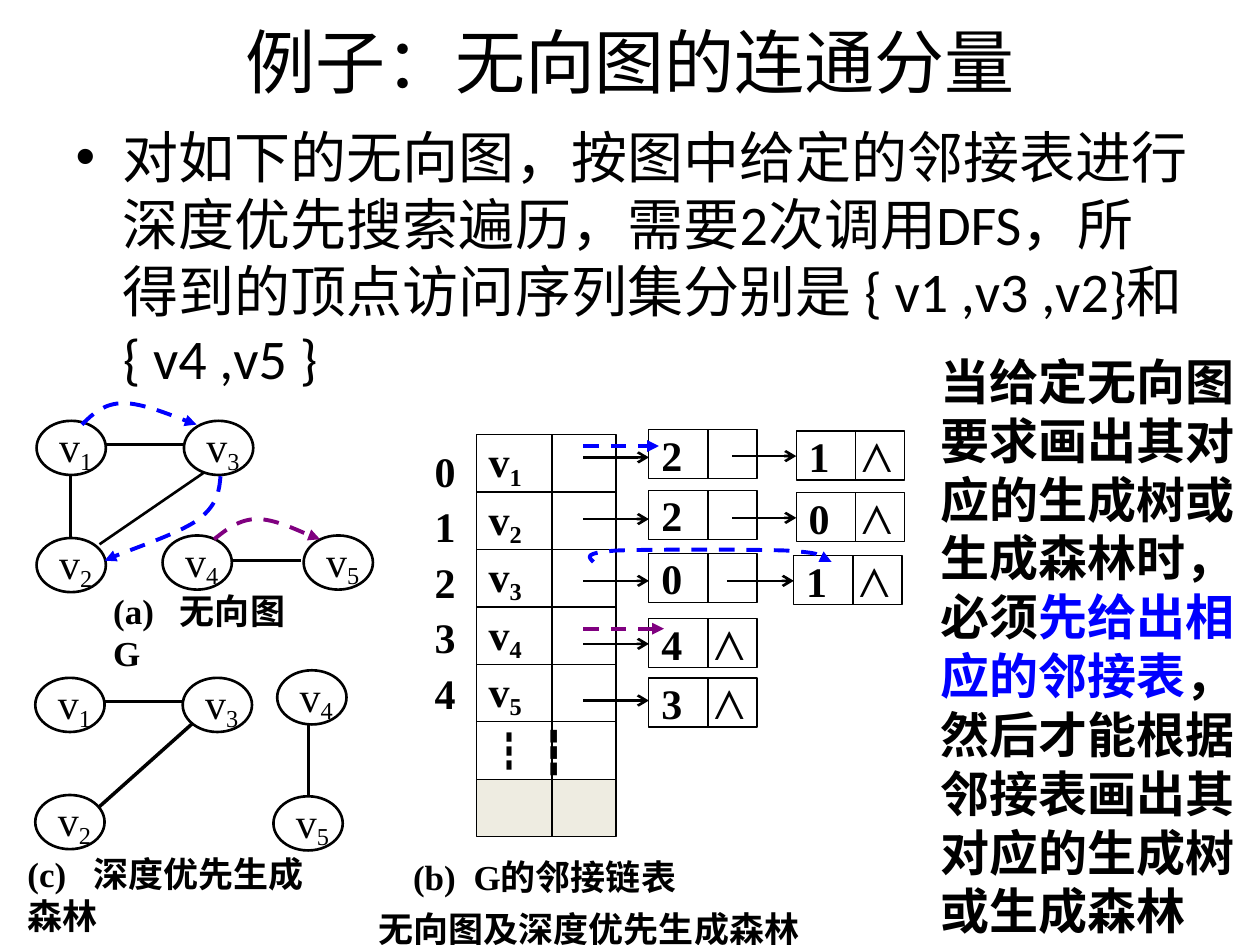
"""Build a slide on the connected components of an undirected graph."""
from lxml import etree
from pptx import Presentation
from pptx.dml.color import RGBColor
from pptx.enum.dml import MSO_LINE
from pptx.enum.shapes import MSO_CONNECTOR, MSO_SHAPE
from pptx.enum.text import MSO_ANCHOR, PP_ALIGN
from pptx.oxml.ns import qn
from pptx.util import Inches, Pt

OVAL, RECT = MSO_SHAPE.OVAL, MSO_SHAPE.RECTANGLE
STRAIGHT, DASH = MSO_CONNECTOR.STRAIGHT, MSO_LINE.DASH
MIDDLE, CENTER = MSO_ANCHOR.MIDDLE, PP_ALIGN.CENTER
COLORS = {"black": "000000", "blue": "0000FF", "purple": "800080", "beige": "EEECE1"}
RGB = {name: RGBColor.from_string(code) for name, code in COLORS.items()}
SERIF, SANS, CJK = "Times New Roman", "Calibri", "Noto Sans CJK SC"

deck = Presentation()
deck.slide_width, deck.slide_height = Inches(10), Inches(7.5)
slide = deck.slides.add_slide(deck.slide_layouts[1])
shapes = slide.shapes


def stroke(shape, color="black", width=1.5, head=None, dash=False):
    shape.line.color.rgb = RGB[color]
    shape.line.width = Pt(width)
    if dash:
        shape.line.dash_style = DASH
    if head:
        etree.SubElement(shape.line._get_or_add_ln(), qn("a:tailEnd"), type=head)
    etree.SubElement(shape._element.spPr, qn("a:effectLst"))


def box(kind, spot, text, tail="", base=0, size=24, bold=True, tab=0, width=0.75):
    place = [Inches(n) for n in spot]
    if kind is None:
        shape = shapes.add_textbox(*place)
    else:
        shape = shapes.add_shape(kind, *place)
        shape.fill.background()
        stroke(shape, width=width)
    frame = shape.text_frame
    frame.text = text
    frame.word_wrap = False
    frame.vertical_anchor = MIDDLE
    if tail:
        run = frame.paragraphs[0].add_run()
        run.text = tail
        if base:
            run._r.get_or_add_rPr().set("baseline", str(base * 1000))
    for para in frame.paragraphs:
        para.alignment = PP_ALIGN.LEFT
        if tab:
            tabs = etree.SubElement(para._p.get_or_add_pPr(), qn("a:tabLst"))
            etree.SubElement(tabs, qn("a:tab"), pos=str(Inches(tab)), algn="l")
        for run in para.runs:
            run.font.name = SERIF
            run.font.size = Pt(size)
            run.font.bold = bold
            run.font.color.rgb = RGB["black"]
    return shape


title, body = shapes.title, slide.placeholders[1]
for shape, spot, text, size in [
    (title, (0.5, -0.03, 9, 1.02), "例子：无向图的连通分量", 40),
    (body, (0.5, 0.92, 9.04, 6.38),
     "对如下的无向图，按图中给定的邻接表进行深度优先搜索遍历，需要2次调用DFS，"
     "所得到的顶点访问序列集分别是 { v1 ,v3 ,v2}和{ v4 ,v5 }", 32),
]:
    shape.left, shape.top, shape.width, shape.height = [Inches(n) for n in spot]
    shape.text_frame.text = text
    font = shape.text_frame.paragraphs[0].runs[0].font
    font.name, font.size, font.color.rgb = SANS, Pt(size), RGB["black"]
title.text_frame.vertical_anchor = MIDDLE
title.text_frame.paragraphs[0].alignment = CENTER

for spot, text, tab in [
    ((0.8, 4.84, 1.57, 0.35), "(a)\t无向图G", 0.53),
    ((3.18, 6.78, 2.39, 0.35), "(b)\tG的邻接链表", 0.48),
    ((0.12, 6.92, 2.6, 0.35), "(c)\t深度优先生成森林", 0.52),
]:
    box(None, spot, text, size=20, tab=tab)
name = box(None, (2.51, 7.19, 4.33, 0.35), "无向图及深度优先生成森林", size=20)
name.text_frame.paragraphs[0].alignment = CENTER

graph = [(0.29, 3.34), (0.29, 4.27), (1.46, 3.34), (1.29, 4.25), (2.41, 4.25)]
forest = [(0.28, 5.38), (0.28, 6.31), (1.45, 5.38), (2.2, 5.32), (2.17, 6.32)]
for group in (graph, forest):
    for num, (left, top) in enumerate(group, 1):
        box(OVAL, (left, top, 0.55, 0.43), "v", str(num), -18, bold=False, width=1.5)

lines = [
    (0.56, 3.77, 0.56, 4.27), (0.79, 4.32, 1.62, 3.75), (0.84, 3.53, 1.47, 3.53),
    (1.84, 4.45, 2.39, 4.45), (0.83, 5.57, 1.46, 5.57),
    (1.53, 5.74, 0.78, 6.41, "black", 2), (2.45, 5.74, 2.45, 6.32, "black", 2),
    (4.63, 3.54, 5.23, 3.54, "blue", 2.25, "triangle", True),
    (4.63, 4.99, 5.27, 4.99, "purple", 2.25, "triangle", True),
]

index = box(None, (3.35, 3.44, 0.42, 2.31), "0\n1\n2\n3\n4")
for para in index.text_frame.paragraphs:
    para.line_spacing = 1.1

step = (6.64 - 3.45) / 7
for row in range(7):
    top = 3.45 + row * step
    spot = (3.78, top, 1.11, step)
    if row < 5:
        box(RECT, spot, "v", str(row + 1), -20)
    elif row == 5:
        dots = box(RECT, spot, "┇", " ┇")
        dots.text_frame.paragraphs[0].runs[0].font.name = CJK
    else:
        cell = box(RECT, spot, "")
        cell.fill.solid()
        cell.fill.fore_color.rgb = RGB["beige"]
    lines.append((4.38, top, 4.38, top + step, "black", 0.75))

for left, top, text, last, start, level in [
    (5.15, 3.41, "2", False, 4.63, 3.63), (6.32, 3.42, "1", True, 5.81, 3.62),
    (5.15, 3.89, "2", False, 4.63, 4.12), (6.32, 3.91, "0", True, 5.81, 4.11),
    (5.15, 4.39, "0", False, 4.63, 4.61), (6.3, 4.41, "1", True, 5.77, 4.61),
    (5.15, 4.91, "4", True, 4.63, 5.11), (5.15, 5.38, "3", True, 4.63, 5.56),
]:
    spot = (left, top, 0.86, 0.39)
    if last:
        node = box(RECT, spot, text + "\t", "⋀", tab=0.42)
        node.text_frame.paragraphs[0].runs[-1].font.bold = False
    else:
        box(RECT, spot, text)
    lines.append((left + 0.47, top, left + 0.47, top + 0.39, "black", 0.75))
    lines.append((start, level, left, level, "black", 1.5, "arrow"))

for x1, y1, x2, y2, *style in lines:
    ends = [Inches(n) for n in (x1, y1, x2, y2)]
    stroke(shapes.add_connector(STRAIGHT, *ends), *style)

for color, *points in [
    ("blue", (0.65, 3.37), (0.74, 3.28), (0.83, 3.2), (0.98, 3.2),
     (1.13, 3.2), (1.47, 3.34), (1.56, 3.37)),
    ("blue", (1.75, 3.78), (1.74, 3.89), (1.73, 4), (1.58, 4.12),
     (1.43, 4.23), (0.95, 4.39), (0.83, 4.45)),
    ("purple", (1.7, 4.28), (1.8, 4.2), (1.9, 4.12), (2.04, 4.12),
     (2.18, 4.12), (2.45, 4.25), (2.54, 4.28)),
    ("blue", (4.71, 4.46), (4.67, 4.42), (4.63, 4.39), (4.89, 4.37),
     (5.15, 4.36), (5.96, 4.36), (6.24, 4.37),
     (6.53, 4.39), (6.54, 4.44), (6.6, 4.46)),
]:
    start, *rest = [(Inches(x), Inches(y)) for x, y in points]
    maker = shapes.build_freeform(*start)
    maker.add_line_segments(rest, close=False)
    curve = maker.convert_to_shape()
    curve.fill.background()
    stroke(curve, color, 2.25, "triangle", True)
    parts = curve._element.xpath(".//a:lnTo")
    for one, two, three in zip(parts[::3], parts[1::3], parts[2::3]):
        one.tag = qn("a:cubicBezTo")
        for part in (two, three):
            one.append(part[0])
            one.getparent().remove(part)

note = shapes.add_textbox(Inches(7.37), Inches(2.74), Inches(2.76), Inches(4.81))
note.text_frame.word_wrap = True
para = note.text_frame.paragraphs[0]
for text, color in [
    ("当给定无向图要求画出其对应的生成树或生成森林时，必须", "black"),
    ("先给出相应的邻接表", "blue"),
    ("，然后才能根据邻接表画出其对应的生成树或生成森林", "black"),
]:
    run = para.add_run()
    run.text = text
    run.font.name, run.font.size, run.font.bold = CJK, Pt(28), True
    run.font.color.rgb = RGB[color]

deck.save("out.pptx")
